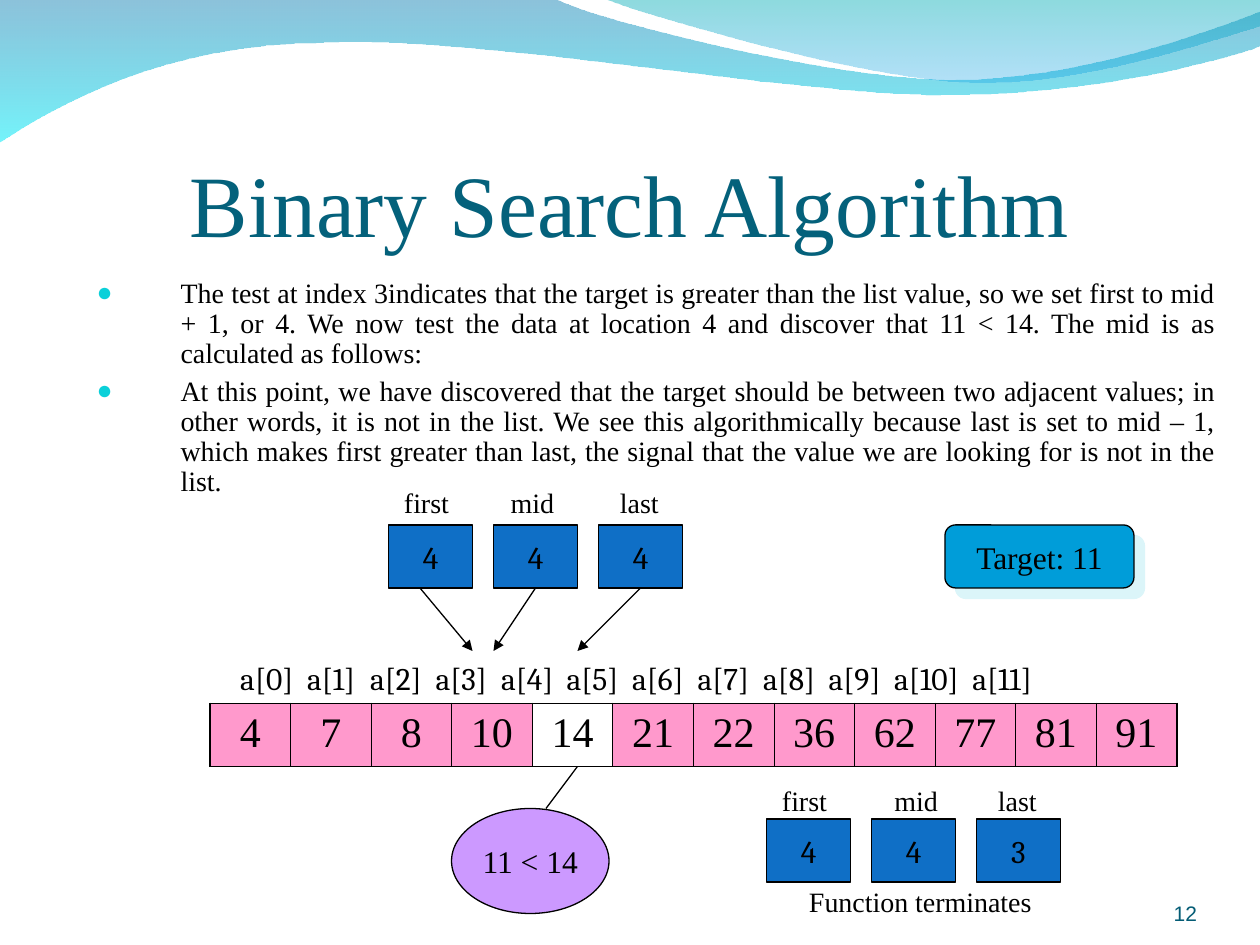
from lxml.etree import SubElement
from pptx import Presentation
from pptx.dml.color import RGBColor
from pptx.enum.shapes import MSO_CONNECTOR, MSO_SHAPE
from pptx.enum.text import MSO_ANCHOR, MSO_AUTO_SIZE, PP_ALIGN
from pptx.oxml.ns import qn
from pptx.util import Inches, Pt

COLUMNS, ROWS = 120, 90  # grid of twelve units to the inch
SERIF, CODE = "Times New Roman", "Cambria"
BLACK, BLUE, PINK = "000000", "0F6FC6", "FF99CC"

TITLE = "Binary Search Algorithm"
POINTS = [
    "The test at index 3indicates that the target is greater than the list value, "
    "so we set first to mid + 1, or 4. We now test the data at location 4 and "
    "discover that 11 < 14. The mid is as calculated as follows:",
    "At this point, we have discovered that the target should be between two "
    "adjacent values; in other words, it is not in the list. We see this "
    "algorithmically because last is set to mid – 1, which makes first greater "
    "than last, the signal that the value we are looking for is not in the list.",
]
VALUES = [4, 7, 8, 10, 14, 21, 22, 36, 62, 77, 81, 91]
TESTED = 4

# Waves in inches: a start, then straight (one point) or curved (three) steps
LOWER_WAVE = [
    [(0, -0.01)], [(4.4, -0.01)],
    [(4.76, 0.17), (6.64, 0.63), (7.58, 0.63)],
    [(8.53, 0.63), (9.58, 0.26), (10, 0.09)], [(10.01, 0.36)],
    [(9.83, 0.44), (8.7, 0.76), (7.46, 0.75)],
    [(6.22, 0.75), (3.82, 0.28), (2.57, 0.34)],
    [(1.29, 0.35), (0.46, 0.83), (-0.01, 1.13)],
]
UPPER_WAVE = [
    [(4.79, -0.01)],
    [(5.09, 0.11), (6.82, 0.62), (7.69, 0.65)],
    [(8.56, 0.69), (9.61, 0.32), (10, 0.21)], [(10, 0)],
]


def grid(*lengths):
    return [Inches(length / 12) for length in lengths]


def color(hex_value):
    return RGBColor.from_string(hex_value)


def add_xml(parent, tag, **attributes):
    return SubElement(parent, qn(f"a:{tag}"),
                      {name: str(value) for name, value in attributes.items()})


def apply(target, settings):
    for name, value in settings.items():
        setattr(target, name, value)


def write(frame, text, size, font=SERIF, ink=BLACK, align=PP_ALIGN.LEFT, **frame_format):
    apply(frame, {"auto_size": MSO_AUTO_SIZE.NONE, **frame_format})
    frame.text = text
    for paragraph in frame.paragraphs:
        paragraph.alignment = align
        for run in paragraph.runs:
            apply(run.font, {"size": Pt(size), "name": font})
            run.font.color.rgb = color(ink)


def add_label(slide, box, text, size=16, **text_format):
    label = slide.shapes.add_textbox(*grid(*box))
    write(label.text_frame, text, size, **{"word_wrap": False, **text_format})
    return label


def add_block(slide, preset, box, text, fill, font=SERIF):
    block = slide.shapes.add_shape(preset, *grid(*box))
    block.shadow.inherit = False
    block.fill.solid()
    block.fill.fore_color.rgb = color(fill)
    block.line.color.rgb = color(BLACK)
    block.line.width = Pt(0.75)
    write(block.text_frame, text, 18, font, align=PP_ALIGN.CENTER,
          word_wrap=False, vertical_anchor=MSO_ANCHOR.MIDDLE)
    return block


def add_line(slide, start, end, arrow=True):
    line = slide.shapes.add_connector(MSO_CONNECTOR.STRAIGHT, *grid(*start, *end))
    line.line.color.rgb = color(BLACK)
    line.line.width = Pt(0.75)
    if arrow:
        add_xml(line.line._get_or_add_ln(), "tailEnd", type="triangle")
    add_xml(line._element.spPr, "effectLst")


def add_wave(slide, outline, stops):
    corners = [(Inches(step[-1][0]), Inches(step[-1][1])) for step in outline]
    builder = slide.shapes.build_freeform(*corners[0])
    builder.add_line_segments(corners[1:], close=True)
    wave = builder.convert_to_shape()
    # Bend the sides that have control points
    sides = list(wave._element.spPr.iter(qn("a:lnTo")))
    for side, step in zip(sides, outline[1:]):
        if len(step) == 3:
            side.clear()
            side.tag = qn("a:cubicBezTo")
            for x, y in step:
                add_xml(side, "pt", x=Inches(x) - wave.left, y=Inches(y) - wave.top)
    wave.line.fill.background()
    wave.shadow.inherit = False
    wave.fill.gradient()
    gradient = wave._element.spPr.find(qn("a:gradFill"))
    for child in list(gradient):
        gradient.remove(child)
    stop_list = add_xml(gradient, "gsLst")
    for position, (hex_value, opacity) in zip((0, 100000), stops):
        stop = add_xml(stop_list, "gs", pos=position)
        add_xml(add_xml(stop, "srgbClr", val=hex_value), "alpha", val=opacity * 1000)
    add_xml(gradient, "lin", ang=5400000, scaled=0)


def place(holder, box):
    apply(holder, dict(zip(("left", "top", "width", "height"), grid(*box))))


def fill_points(body):
    place(body, (8, 26, 109, 54))
    write(body.text_frame, "\n".join(POINTS), 16, align=PP_ALIGN.JUSTIFY)
    indent = grid(8)[0]
    for paragraph in body.text_frame.paragraphs:
        apply(paragraph, {"line_spacing": 0.9, "space_before": Pt(4)})
        properties = paragraph._p.get_or_add_pPr()
        properties.set("marL", str(indent))
        properties.set("indent", str(-indent))
        add_xml(add_xml(properties, "buClr"), "srgbClr", val="0BD0D9")
        add_xml(properties, "buSzPct", val=95000)
        add_xml(properties, "buFont", typeface="Arial")
        add_xml(properties, "buChar", char="●")


def add_array(slide):
    width = 92.1
    table = slide.shapes.add_table(1, len(VALUES), *grid(20, 67, width, 6)).table
    apply(table, {"first_row": False, "horz_banding": False})
    for column, value in enumerate(VALUES):
        table.columns[column].width = grid(width / len(VALUES))[0]
        cell = table.cell(0, column)
        write(cell.text_frame, str(value), 24, align=PP_ALIGN.CENTER)
        cell.text_frame.paragraphs[0].space_before = Pt(6)
        thick = {"lnT", "lnB"}
        thick |= {"lnL"} if column == 0 else set()
        thick |= {"lnR"} if column == len(VALUES) - 1 else set()
        for side in ("lnL", "lnR", "lnT", "lnB"):
            border = add_xml(cell._tc.get_or_add_tcPr(), side,
                             w=Pt(1.08 if side in thick else 0.45))
            add_xml(add_xml(border, "solidFill"), "srgbClr", val=BLACK)
        if column == TESTED:
            cell.fill.background()
        else:
            cell.fill.solid()
            cell.fill.fore_color.rgb = color(PINK)


def add_indexes(slide):
    names = "\t".join(f"a[{index}]" for index in range(len(VALUES)))
    indexes = add_label(slide, (21.7, 62.2, 89.2, 4.8), names, 18, font=CODE, word_wrap=True)
    properties = indexes.text_frame.paragraphs[0]._p.get_or_add_pPr()
    tabs = add_xml(properties, "tabLst")
    # Digits differ in width: 0 is wide, 1 is narrow, a[10] has two
    nudges = {1: 0.01, len(VALUES) - 1: 0.09}
    for index in range(1, len(VALUES)):
        stop = 0.52 * index + nudges.get(index, -0.01)
        add_xml(tabs, "tab", pos=Inches(stop), algn="l")


def add_markers(slide, left, top, label_top, label_lefts, numbers):
    names = ("first", "mid", "last")
    for step, (name, label_left, number) in enumerate(zip(names, label_lefts, numbers)):
        add_block(slide, MSO_SHAPE.RECTANGLE, (left + 10 * step, top, 8, 6),
                  str(number), BLUE, CODE)
        add_label(slide, (label_left, label_top, 6.5, 4.4), name)


def main():
    deck = Presentation()
    deck.slide_width, deck.slide_height = grid(COLUMNS, ROWS)
    slide = deck.slides.add_slide(deck.slide_layouts[1])

    # Header waves
    add_wave(slide, LOWER_WAVE, [("0079AF", 45), ("00EBF8", 55)])
    add_wave(slide, UPPER_WAVE, [("00ADB6", 45), ("009BE5", 30)])

    # Title, explanation and slide number
    flush = {"margin_left": 0, "margin_right": 0, "margin_bottom": 0,
             "vertical_anchor": MSO_ANCHOR.BOTTOM}
    place(slide.shapes.title, (6, 9.25, 108, 15))
    write(slide.shapes.title.text_frame, TITLE, 50, ink="04617B",
          align=PP_ALIGN.CENTER, **flush)
    fill_points(slide.placeholders[1])
    add_label(slide, (104, 83.4, 10, 4.8), "12", 12, font="Arial", ink="045C75",
              align=PP_ALIGN.RIGHT, word_wrap=True, margin_top=0, **flush)

    # Array and the search markers before and after the test
    add_array(slide)
    add_indexes(slide)
    add_markers(slide, 37, 50, 45.65, (37.3, 47.45, 57.87), (4, 4, 4))
    add_markers(slide, 73, 78, 74, (73.3, 84, 93.87), (4, 4, 3))
    add_label(slide, (75.87, 83.65, 23.5, 4.4), "Function terminates")
    for start, end in (((40, 56), (45, 62)), ((51, 56), (47, 62)), ((61, 56), (55, 62))):
        add_line(slide, start, end)

    # Target and comparison
    target = add_block(slide, MSO_SHAPE.ROUNDED_RECTANGLE, (90, 50, 18, 6),
                       "Target: 11", "009DD9")
    shadow = add_xml(target._element.spPr.find(qn("a:effectLst")), "outerShdw",
                     blurRad=0, dist=Pt(8.5), dir=2700000, algn="ctr", rotWithShape=0)
    add_xml(shadow, "srgbClr", val="DBF5F9")
    add_block(slide, MSO_SHAPE.OVAL, (43, 77, 15, 10), "11 < 14", "CC99FF")
    add_line(slide, (52, 77), (55, 73), arrow=False)

    deck.save("out.pptx")


if __name__ == "__main__":
    main()
